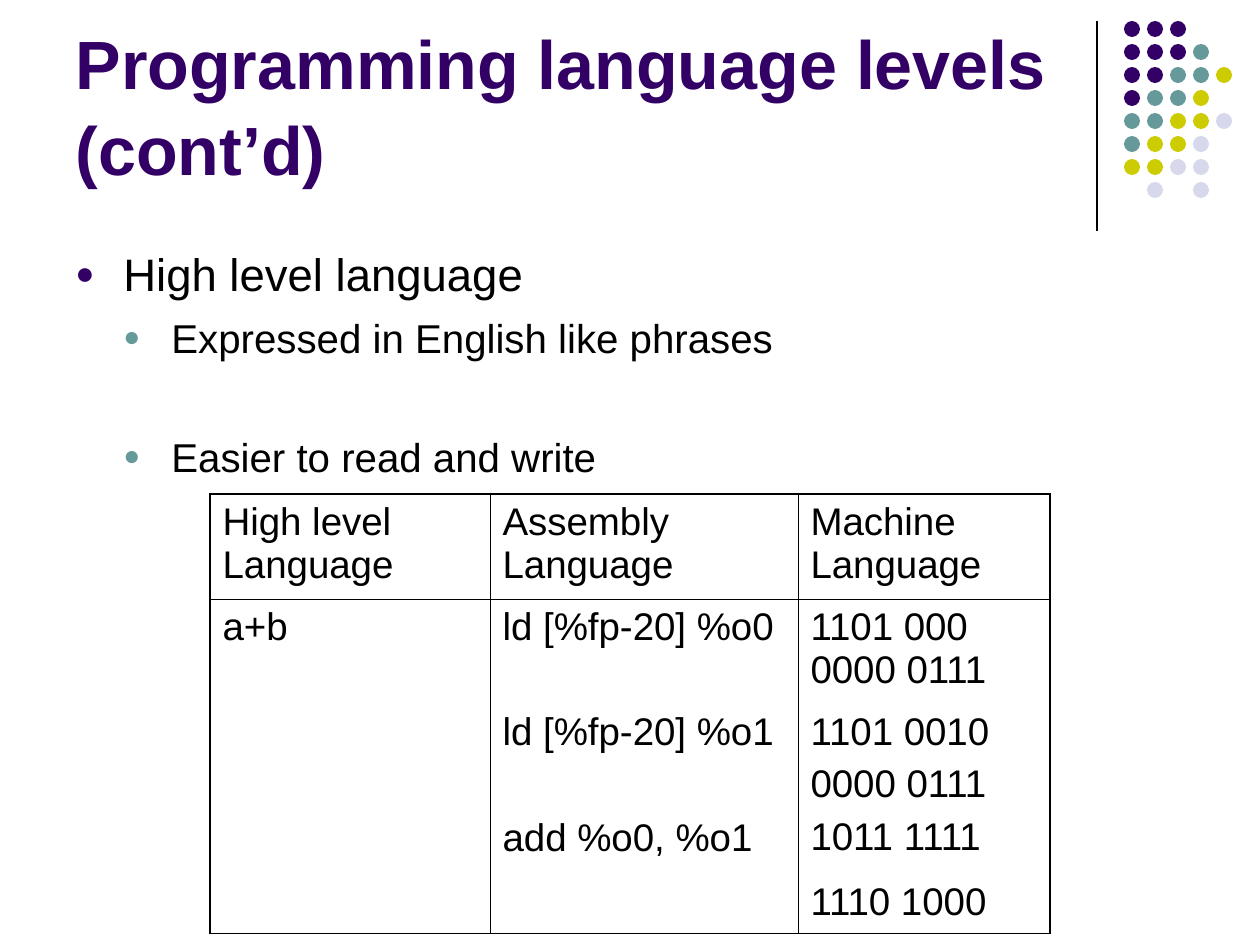
import dataclasses

import lxml.etree
import pptx
import pptx.dml.color
import pptx.enum.shapes
import pptx.enum.text
import pptx.oxml.ns
import pptx.util

EMU_PER_PX = 914400 / 126


def px(length):
    return pptx.util.Emu(round(length * EMU_PER_PX))


def rgb(color):
    return pptx.dml.color.RGBColor.from_string(color)


def add_xml(parent, tag, **attributes):
    child = lxml.etree.SubElement(parent, pptx.oxml.ns.qn(tag))
    for name, value in attributes.items():
        child.set(name, str(value))
    return child


@dataclasses.dataclass(frozen=True)
class Theme:
    font: str = "Arial"
    text: str = "000000"
    purple: str = "330066"
    teal: str = "669999"
    lime: str = "CCCC00"
    lavender: str = "D8D8EC"
    title_size: float = 39
    bullet_sizes: tuple = (26, 23)
    table_size: float = 22
    table_gap: float = 5.5
    line_spacing: float = 1.05
    outer_border: float = 1.08
    inner_border: float = 0.45


class SlideBuilder:
    def __init__(self, theme, slide):
        self.theme = theme
        self.slide = slide

    def format_paragraph(self, paragraph, size, color, bold=False, gap=0):
        paragraph.alignment = pptx.enum.text.PP_ALIGN.LEFT
        paragraph.space_before = pptx.util.Pt(gap)
        paragraph.font.name = self.theme.font
        paragraph.font.size = pptx.util.Pt(size)
        paragraph.font.bold = bold
        paragraph.font.color.rgb = rgb(color)

    def title(self, text, left, top, width, height):
        title = self.slide.shapes.title
        title.left, title.top = px(left), px(top)
        title.width, title.height = px(width), px(height)
        frame = title.text_frame
        frame.text = text
        frame.word_wrap = True
        frame.auto_size = pptx.enum.text.MSO_AUTO_SIZE.NONE
        frame.vertical_anchor = pptx.enum.text.MSO_ANCHOR.BOTTOM
        heading = frame.paragraphs[0]
        self.format_paragraph(heading, self.theme.title_size, self.theme.purple, bold=True)
        heading.line_spacing = self.theme.line_spacing

    def rule(self, x, top, bottom):
        line = self.slide.shapes.add_connector(
            pptx.enum.shapes.MSO_CONNECTOR.STRAIGHT, px(x), px(top), px(x), px(bottom))
        line.line.color.rgb = rgb(self.theme.text)
        line.line.width = pptx.util.Pt(0.75)
        add_xml(line._element.spPr, "a:effectLst")

    def dot_grid(self, rows, left, top, pitch, diameter):
        """Draw one dot per letter of rows; a space leaves its place empty."""
        colors = {"P": self.theme.purple, "T": self.theme.teal,
                  "L": self.theme.lime, "V": self.theme.lavender}
        for row, letters in enumerate(rows):
            for column, letter in enumerate(letters):
                if letter == " ":
                    continue
                dot = self.slide.shapes.add_shape(
                    pptx.enum.shapes.MSO_SHAPE.OVAL, px(left + column * pitch),
                    px(top + row * pitch), px(diameter), px(diameter))
                dot.shadow.inherit = False
                dot.fill.solid()
                dot.fill.fore_color.rgb = rgb(colors[letter])
                dot.line.fill.background()

    def bullets(self, items, left, top, width, height, indent):
        """Write (level, space before in points, text) items as a list."""
        frame = self.slide.shapes.add_textbox(
            px(left), px(top), px(width), px(height)).text_frame
        frame.word_wrap = True
        bullet_colors = (self.theme.purple, self.theme.teal)
        for index, (level, gap, text) in enumerate(items):
            item = frame.add_paragraph() if index else frame.paragraphs[0]
            item.text = text
            item.level = level
            self.format_paragraph(item, self.theme.bullet_sizes[level], self.theme.text, gap=gap)
            item.line_spacing = self.theme.line_spacing
            properties = item._p.get_or_add_pPr()
            properties.set("marL", str(px(indent * (level + 1))))
            properties.set("indent", str(px(-indent)))
            # Bullet elements stand before the run defaults in a:pPr.
            defaults = properties.find(pptx.oxml.ns.qn("a:defRPr"))
            bullet_color = add_xml(properties, "a:buClr")
            add_xml(bullet_color, "a:srgbClr", val=bullet_colors[level])
            add_xml(properties, "a:buSzPct", val=70000)
            add_xml(properties, "a:buFont", typeface=self.theme.font)
            add_xml(properties, "a:buChar", char="●")
            if defaults is not None:
                properties.append(defaults)

    def cell_borders(self, cell, left, right, top, bottom):
        properties = cell._tc.get_or_add_tcPr()
        sides = {"a:lnL": left, "a:lnR": right, "a:lnT": top, "a:lnB": bottom}
        for tag, width in sides.items():
            border = add_xml(properties, tag, w=pptx.util.Pt(width))
            if width:
                add_xml(add_xml(border, "a:solidFill"), "a:srgbClr", val=self.theme.text)
            else:
                add_xml(border, "a:noFill")

    def table(self, rows, left, top, widths, heights):
        """Fill a table whose cells are lists of (space before, text) paragraphs."""
        table = self.slide.shapes.add_table(
            len(rows), len(widths), px(left), px(top),
            px(sum(widths)), px(sum(heights))).table
        table.first_row = table.horz_banding = False
        for column, width in zip(table.columns, widths):
            column.width = px(width)
        for row, height in zip(table.rows, heights):
            row.height = px(height)
        outer, inner = self.theme.outer_border, self.theme.inner_border
        # Only the header is ruled off; the body rows read as one block.
        levels = [outer, inner] + [0] * (len(rows) - 2) + [outer]
        uprights = [outer] + [inner] * (len(widths) - 1) + [outer]
        for r, row in enumerate(rows):
            for c, lines in enumerate(row):
                cell = table.cell(r, c)
                self.cell_borders(cell, uprights[c], uprights[c + 1], levels[r], levels[r + 1])
                cell.fill.background()
                for index, (gap, text) in enumerate(lines):
                    frame = cell.text_frame
                    line = frame.add_paragraph() if index else frame.paragraphs[0]
                    line.text = text
                    self.format_paragraph(line, self.theme.table_size, self.theme.text, gap=gap)


def main():
    theme = Theme()
    presentation = pptx.Presentation()
    presentation.slide_width, presentation.slide_height = px(1260), px(945)
    builder = SlideBuilder(theme, presentation.slides.add_slide(presentation.slide_layouts[5]))

    builder.rule(1097, 21, 231)
    builder.dot_grid(
        ["PPP", "PPPT", "PPTTL", "PTTL", "TTLLV", "TLLV", "LLVV", " V V"],
        left=1124, top=21, pitch=23, diameter=16)
    builder.title("Programming language levels (cont’d)", 63, 16, 1040, 179)
    builder.bullets(
        [(0, 6.5, "High level language"),
         (1, 5.8, "Expressed in English like phrases"),
         (1, 39, "Easier to read and write")],
        63, 237, 1134, 607, indent=48)

    gap = theme.table_gap
    builder.table(
        [[[(gap, "High level Language")], [(gap, "Assembly Language")],
          [(gap, "Machine Language")]],
         [[(gap, "a+b")], [(gap, "ld [%fp-20] %o0")], [(gap, "1101 000 0000 0111")]],
         [[], [(gap, "ld [%fp-20] %o1"), (36, "add %o0, %o1")],
          [(gap, "1101 0010"), (gap, "0000 0111"), (gap, "1011 1111")]],
         [[], [], [(gap, "1110 1000")]]],
        210, 494, widths=[280, 308, 252], heights=[105, 105, 170, 59])

    presentation.save("out.pptx")


if __name__ == "__main__":
    main()
